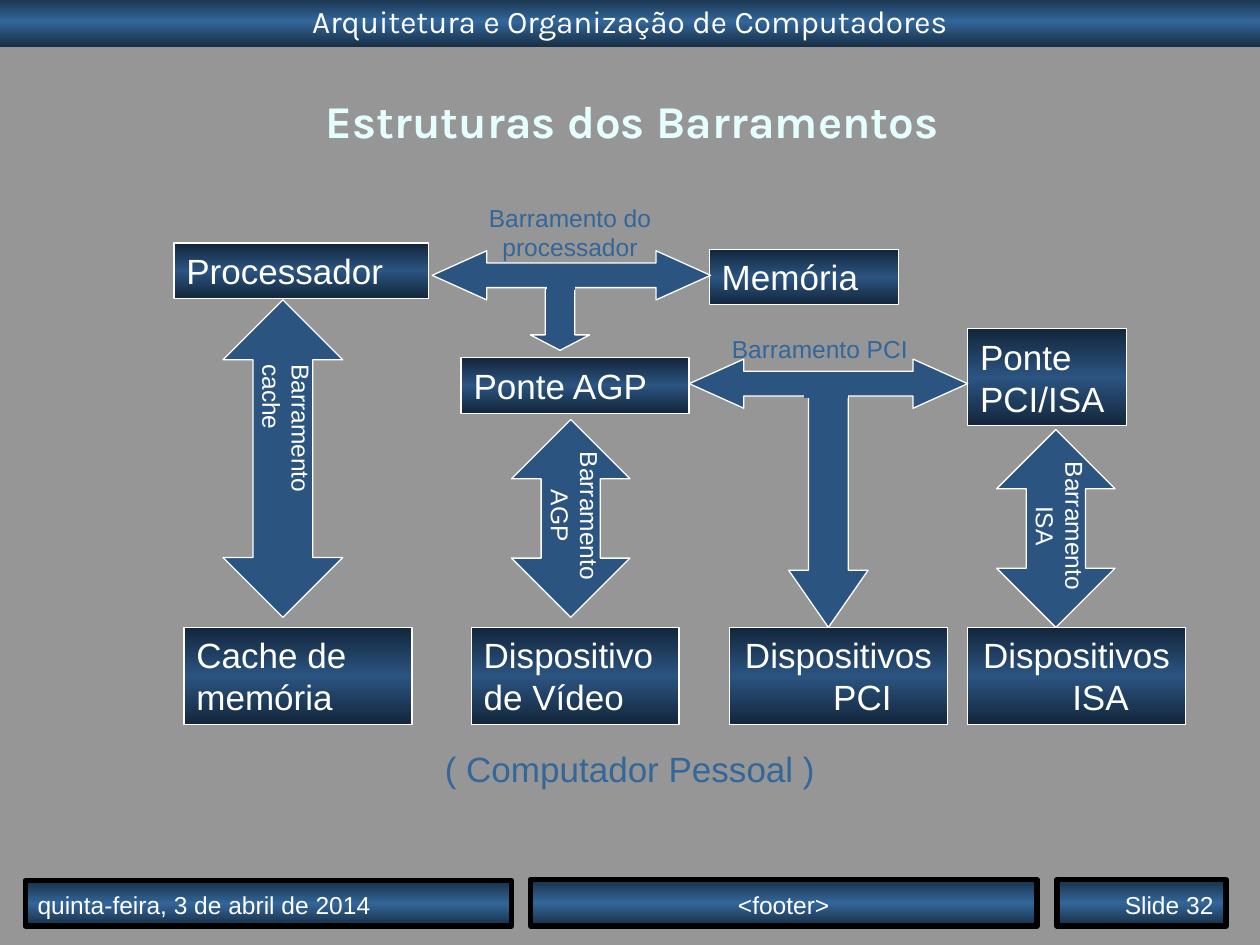
"""Build the slide on the bus structures of a personal computer."""
from copy import deepcopy
from dataclasses import dataclass

from lxml.etree import SubElement
from pptx import Presentation
from pptx.dml.color import RGBColor
from pptx.enum.shapes import MSO_CONNECTOR, MSO_SHAPE
from pptx.enum.text import MSO_ANCHOR, PP_ALIGN
from pptx.oxml.ns import qn
from pptx.util import Inches, Pt

LEFT, MID, RIGHT = PP_ALIGN.LEFT, PP_ALIGN.CENTER, PP_ALIGN.RIGHT


@dataclass(frozen=True)
class Theme:
    """Colours, fonts and type sizes of the slide."""
    back: str = "969696"
    white: str = "FFFFFF"
    black: str = "000000"
    pale: str = "E5FFFF"
    blue: str = "336699"
    bus: str = "2B5481"
    bar: tuple = ("172F46", "336699", "172F46")
    box: tuple = ("13263B", "2B5481", "13263B")
    body: str = "Arial"
    head: str = "Karla"
    title: int = 26
    top: int = 18
    name: int = 20
    note: int = 14
    thin: float = 0.75
    thick: int = 3


THEME = Theme()
ROW = 49.8


def rgb(code):
    """Turn a hex code into a colour."""
    return RGBColor.from_string(code)


def grid(*cells):
    """Turn cells of a grid of 100 columns by 75 rows into lengths."""
    return [Inches(cell / 10) for cell in cells]


def write(shape, text, size, color, align=LEFT, font=THEME.body, bold=False):
    """Put one styled paragraph into a shape."""
    frame = shape.text_frame
    frame.word_wrap = True
    frame.vertical_anchor = MSO_ANCHOR.TOP
    frame.text = text
    para = frame.paragraphs[0]
    para.alignment = align
    face = para.runs[0].font
    face.name, face.size, face.bold = font, Pt(size), bold
    face.color.rgb = rgb(color)
    return para


def edge(shape, color, width):
    """Draw the outline of a shape."""
    shape.line.color.rgb = rgb(color)
    shape.line.width = Pt(width)


def blend(shape, tones):
    """Fill a shape with a vertical gradient of three tones."""
    shape.fill.gradient()
    shape.fill.gradient_angle = 90
    first = shape.element.spPr.find(".//" + qn("a:gs"))
    first.addnext(deepcopy(first))
    stops = shape.fill.gradient_stops
    for stop, tone, place in zip(stops, tones, (0, 0.5, 1)):
        stop.color.rgb = rgb(tone)
        stop.position = place


def panel(slide, cells, tones):
    """Add a rectangle with a gradient."""
    shape = slide.shapes.add_shape(MSO_SHAPE.RECTANGLE, *grid(*cells))
    shape.shadow.inherit = False
    blend(shape, tones)
    return shape


def box(slide, cells, text, align=LEFT, hang=0):
    """Add a named part, its later lines shifted by a hanging indent."""
    shape = panel(slide, cells, THEME.box)
    edge(shape, THEME.white, THEME.thin)
    para = write(shape, text, THEME.name, THEME.white, align)
    if hang:
        props = para._p.get_or_add_pPr()
        props.set("marL", str(Inches(hang)))
        props.set("indent", str(-Inches(hang)))


def foot(slide, cells, text, align):
    """Add a framed footer field."""
    shape = panel(slide, cells, THEME.bar)
    edge(shape, THEME.black, THEME.thick)
    write(shape, text, THEME.note, THEME.white, align)
    shape.text_frame.vertical_anchor = MSO_ANCHOR.BOTTOM


def label(slide, cells, text, size, color, align=MID, **style):
    """Add a text box."""
    shape = slide.shapes.add_textbox(*grid(*cells))
    return write(shape, text, size, color, align, **style)


def upright(slide, cells, text, align=MID):
    """Add a bus name that runs downwards."""
    shape = slide.shapes.add_textbox(*grid(*cells))
    write(shape, text, THEME.note, THEME.white, align)
    frame = shape.text_frame
    frame.margin_left = frame.margin_right = Inches(0.05)
    frame.margin_top = frame.margin_bottom = Inches(0.1)
    shape.element.txBody.find(qn("a:bodyPr")).set("vert", "eaVert")


def arrow(slide, kind, cells, first, second):
    """Add a bus as a block arrow with its two adjustments."""
    shape = slide.shapes.add_shape(kind, *grid(*cells))
    shape.shadow.inherit = False
    shape.adjustments[0], shape.adjustments[1] = first, second
    shape.fill.solid()
    shape.fill.fore_color.rgb = rgb(THEME.bus)
    edge(shape, THEME.white, THEME.thin)


def seam(slide, *ends):
    """Hide the outline where two buses meet."""
    line = slide.shapes.add_connector(MSO_CONNECTOR.STRAIGHT, *grid(*ends))
    edge(line, THEME.bus, THEME.thick)
    SubElement(line.element.spPr, qn("a:effectLst"))


def frame(slide):
    """Add the header, the footer fields and the titles."""
    head = panel(slide, (0, -0.3, 100, 4), THEME.bar)
    head.line.fill.background()
    write(head, "Arquitetura e Organização de Computadores", THEME.top,
          THEME.white, MID, THEME.head)
    foot(slide, (2, 69.9, 38.6, 3.6), "quinta-feira, 3 de abril de 2014", LEFT)
    foot(slide, (42.1, 69.8, 40.2, 3.7), "<footer>", MID)
    foot(slide, (83.9, 69.8, 13.4, 3.7), "Slide 32", RIGHT)
    title = label(slide, (0.4, 8.4, 99.6, 3.6), "Estruturas dos Barramentos",
                  THEME.title, THEME.pale, font=THEME.head, bold=True)
    title.line_spacing = 0.6
    label(slide, (0, 58.8, 100, 4.4), "( Computador Pessoal )",
          THEME.name, THEME.blue)


def parts(slide):
    """Add the parts of the computer."""
    box(slide, (13.8, 19.3, 20.2, 4.4), "Processador")
    box(slide, (56.3, 19.8, 15, 4.4), "Memória")
    box(slide, (36.6, 28.4, 18.1, 4.4), "Ponte AGP")
    box(slide, (76.8, 26.1, 12.6, 7.7), "Ponte PCI/ISA")
    box(slide, (14.6, ROW, 18.1, 7.7), "Cache de memória")
    box(slide, (37.4, ROW, 16.5, 7.7), "Dispositivo de Vídeo")
    for left, text in ((57.9, "Dispositivos PCI"), (76.8, "Dispositivos ISA")):
        box(slide, (left, ROW, 17.3, 7.7), text, MID, 0.38)


def buses(slide):
    """Add the buses and their names."""
    label(slide, (36.6, 15.6, 17.3, 5.7), "Barramento do processador",
          THEME.note, THEME.blue)
    label(slide, (57.1, 26, 17.3, 3.4), "Barramento PCI",
          THEME.note, THEME.blue, LEFT)
    wide, down = MSO_SHAPE.LEFT_RIGHT_ARROW, MSO_SHAPE.DOWN_ARROW
    for left, top in ((34.3, 19.9), (54.7, 28.5)):
        arrow(slide, wide, (left, top, 22.1, 3.9), 0.5, 1.11)
    arrow(slide, down, (42.1, 22.9, 4.7, 4.9), 0.5, 0.26)
    seam(slide, 43.4, 22.8, 45.6, 22.8)
    arrow(slide, down, (62.6, 31.5, 6.3, 18.3), 0.5, 0.72)
    seam(slide, 63.8, 31.4, 67.3, 31.4)
    both = MSO_SHAPE.UP_DOWN_ARROW
    arrow(slide, both, (17.7, 23.8, 9.5, 25.2), 0.53, 0.5)
    upright(slide, (19, 27.9, 6.6, 15.7), "Barramento cache", LEFT)
    for left, top, text in ((40.6, 33.3, "Barramento AGP"),
                            (79.1, 34.1, "Barramento ISA")):
        arrow(slide, both, (left, top, 9.4, 15.7), 0.33, 0.5)
        upright(slide, (left + 1.3, top + 1.55, 6.6, 12.6), text)


def main():
    """Build and save the slide."""
    deck = Presentation()
    deck.slide_width, deck.slide_height = grid(100, 75)
    slide = deck.slides.add_slide(deck.slide_layouts[6])
    slide.background.fill.solid()
    slide.background.fill.fore_color.rgb = rgb(THEME.back)
    frame(slide)
    parts(slide)
    buses(slide)
    deck.save("out.pptx")


if __name__ == "__main__":
    main()
